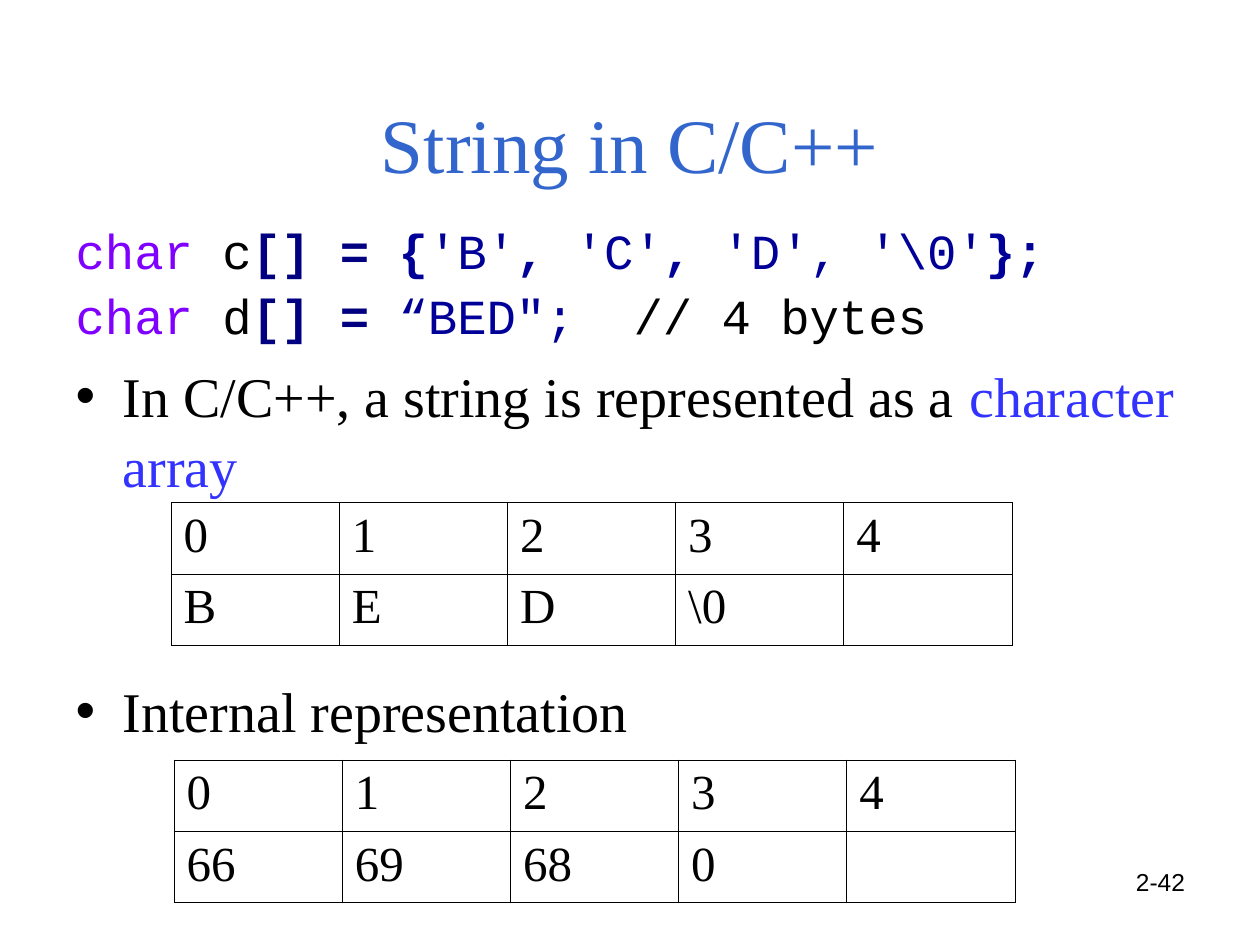
"""Build a slide on how C and C++ store strings."""
from lxml.etree import SubElement as Sub
from pptx import Presentation
from pptx.dml.color import RGBColor as RGB
from pptx.enum.text import MSO_ANCHOR as Anchor, MSO_AUTO_SIZE as Auto, PP_ALIGN as Align
from pptx.oxml.ns import qn
from pptx.util import Cm, Pt

BLACK = RGB(0, 0, 0)
BLUE = RGB(0x33, 0x66, 0xCC)
VIOLET = RGB(0x80, 0, 0xFF)
NAVY = RGB(0, 0, 0x80)
INK = RGB(0, 0, 0x99)
BRIGHT = RGB(0x33, 0x33, 0xFF)
SERIF, MONO, SANS = "Times New Roman", "Courier New", "Arial"


def style(run, size, face, color, bold=False):
    font = run.font
    font.size, font.name, font.bold = Pt(size), face, bold
    font.color.rgb = color


def border(cell):
    props = cell._tc.get_or_add_tcPr()
    for side in ("a:lnL", "a:lnR", "a:lnT", "a:lnB"):
        line = Sub(props, qn(side), w=str(Pt(0.45)))
        fill = Sub(line, qn("a:solidFill"))
        Sub(fill, qn("a:srgbClr"), val=str(BLACK))


deck = Presentation()
deck.slide_width, deck.slide_height = Cm(25.4), Cm(19.05)
slide = deck.slides.add_slide(deck.slide_layouts[1])
shapes = slide.shapes

title = shapes.title
title.left, title.top, title.width, title.height = Cm(1.27), Cm(0.76), Cm(22.86), Cm(3.18)
frame = title.text_frame
frame.text = "String in C/C++"
frame.auto_size = Auto.NONE
frame.vertical_anchor = Anchor.BOTTOM
frame.paragraphs[0].alignment = Align.CENTER
style(frame.paragraphs[0].runs[0], 44, SERIF, BLUE)

body = slide.placeholders[1]
body.left, body.top, body.width, body.height = Cm(1.27), Cm(4.45), Cm(22.86), Cm(12.57)
frame = body.text_frame
frame.auto_size = Auto.NONE
frame.word_wrap = True

code = (28, MONO, 0.9)
prose = (32, SERIF, 1.04)
lines = [
    (code, 0, [("char", VIOLET, False), (" c", BLACK, False), ("[] = ", NAVY, True),
               ("{", INK, True), ("'B'", INK, False), (",", INK, True),
               (" 'C'", INK, False), (",", INK, True),
               (" 'D', '\\0'", INK, False), ("};", INK, True)]),
    (code, 7, [("char", VIOLET, False), (" d", BLACK, False), ("[] = ", NAVY, True),
               ("“BED\";  ", INK, False), ("// 4 bytes", BLACK, False)]),
    (prose, 8, [("In C/C++, a string is represented as a ", BLACK, False),
                ("character array", BRIGHT, False)]),
    (prose, 100, [("Internal representation", BLACK, False)]),
]
for row, ((size, face, pitch), gap, parts) in enumerate(lines):
    para = frame.add_paragraph() if row else frame.paragraphs[0]
    para.line_spacing = pitch
    para.space_before = Pt(gap)
    props = para._p.get_or_add_pPr()
    props.set("marL", str(Cm(0.95)))
    props.set("indent", str(-Cm(0.95)))
    if face == MONO:
        Sub(props, qn("a:buNone"))
    else:
        Sub(Sub(props, qn("a:buClr")), qn("a:srgbClr"), val=str(BLACK))
        Sub(props, qn("a:buChar"), char="•")
    for text, color, bold in parts:
        run = para.add_run()
        run.text = text
        style(run, size, face, color, bold)

index = ["0", "1", "2", "3", "4"]
grids = [
    (3.45, 10.13, ["B", "E", "D", "\\0", ""]),
    (3.51, 15.32, ["66", "69", "68", "0", ""]),
]
for left, top, values in grids:
    table = shapes.add_table(2, 5, Cm(left), Cm(top), Cm(16.95), Cm(2.88)).table
    table.first_row = table.horz_banding = False
    for row, texts in enumerate((index, values)):
        for col, text in enumerate(texts):
            cell = table.cell(row, col)
            border(cell)
            cell.fill.background()
            cell.text_frame.text = text
            for run in cell.text_frame.paragraphs[0].runs:
                style(run, 28, SERIF, BLACK)

frame = shapes.add_textbox(Cm(18.21), Cm(17.35), Cm(5.93), Cm(1.32)).text_frame
frame.word_wrap = True
frame.text = "2-42"
frame.paragraphs[0].alignment = Align.RIGHT
style(frame.paragraphs[0].runs[0], 14, SANS, BLACK)

deck.save("out.pptx")
